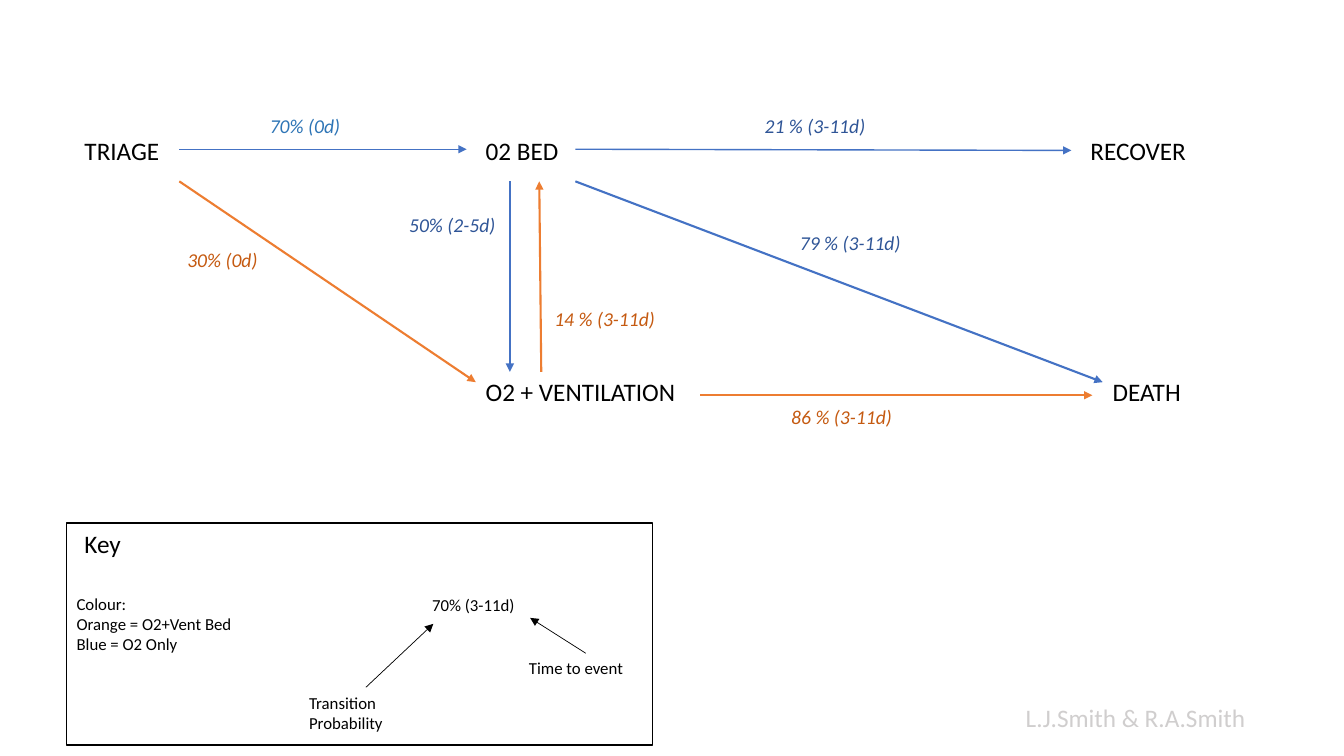
"""Build a patient flow diagram with transition probabilities and a key."""
from pptx import Presentation, util as u
from pptx.dml.color import RGBColor
from pptx.enum import shapes, text
from pptx.oxml.ns import qn
from lxml import etree

BLACK, GREY = "000000", "D0CECE"
BLUE, LIGHT_BLUE, DARK_BLUE = "4472C4", "2E75B6", "2F5597"
ORANGE, DARK_ORANGE = "ED7D31", "C55A11"
TOP_ROW, BOTTOM_ROW = 3.28, 9.37
TOP_ARROW, TOP_EXIT, BOTTOM_ENTRY, BOTTOM_ARROW = 3.76, 4.57, 9.63, 9.96
TRIAGE_EXIT, BED_LEFT, BED_EXIT = 4.52, 11.99, 14.5

states = [
    ("TRIAGE", 1.88, TOP_ROW, 3.48),
    ("02 BED", BED_LEFT, TOP_ROW, 3.3),
    ("O2 + VENTILATION", BED_LEFT, BOTTOM_ROW, 6.81),
    ("DEATH", 27.79, BOTTOM_ROW, 3.02),
    ("RECOVER", 27.23, TOP_ROW, 5.0),
]
transitions = [
    ((TRIAGE_EXIT, TOP_ARROW), (11.76, TOP_ARROW), BLUE, 1),
    ((TRIAGE_EXIT, TOP_EXIT), (BED_LEFT, BOTTOM_ENTRY), ORANGE, 1.5),
    ((13.64, BOTTOM_ROW), (13.59, TOP_EXIT), ORANGE, 1.5),
    ((12.85, TOP_EXIT), (12.85, BOTTOM_ROW), BLUE, 1),
    ((BED_EXIT, TOP_EXIT), (27.79, BOTTOM_ENTRY), BLUE, 1.5),
    ((17.65, BOTTOM_ARROW), (27.53, BOTTOM_ARROW), ORANGE, 1.5),
    ((BED_EXIT, TOP_ARROW), (27, 3.79), BLUE, 1),
]
probabilities = [
    ("70% (0d)", 6.55, 2.74, 2.84, LIGHT_BLUE),
    ("30% (0d)", 4.47, 6.12, 2.72, DARK_ORANGE),
    ("50% (2-5d)", 10.06, 5.23, 3.0, DARK_BLUE),
    ("86 % (3-11d)", 19.69, 10.08, 3.48, DARK_ORANGE),
    ("79 % (3-11d)", 19.91, 5.69, 3.48, DARK_BLUE),
    ("21 % (3-11d)", 19.02, 2.74, 3.48, DARK_BLUE),
    ("14 % (3-11d)", 13.72, 7.62, 3.48, DARK_ORANGE),
]
key_frame = (1.68, 13.18, 14.76, 5.59)
key_notes = [
    ("70% (3-11d)", 10.64, 14.86, 4.11),
    ("Transition Probability", 7.54, 17.32, 3.38),
    ("Time to event", 13.08, 16.46, 3.38),
    ("Colour:\nOrange = O2+Vent Bed\nBlue = O2 Only", 1.68, 14.83, 4.45),
]
key_pointers = [
    ((9.22, 17.32), (10.92, 15.72), BLACK, 0.5),
    ((14.76, 16.46), (13.36, 15.57), BLACK, 0.5),
]
headings = [
    ("Key", 1.88, 13.18, 3.48, BLACK),
    ("L.J.Smith & R.A.Smith", 25.6, 17.58, 7.06, GREY),
]


def rgb(hex_colour):
    """Turn a hex string into a colour."""
    return RGBColor.from_string(hex_colour)


def write(wording, left, top, width, colour=BLACK, size=18, italic=False):
    """Place a text box with one paragraph per line of wording."""
    lines = wording.split("\n")
    height = size * 0.043 * len(lines) + 0.25
    label = slide.shapes.add_textbox(*map(u.Cm, (left, top, width, height)))
    frame = label.text_frame
    frame.word_wrap = True
    frame.auto_size = text.MSO_AUTO_SIZE.NONE
    for index, line in enumerate(lines):
        paragraph = frame.add_paragraph() if index else frame.paragraphs[0]
        run = paragraph.add_run()
        run.text = line
        run.font.name = "Calibri"
        run.font.size = u.Pt(size)
        run.font.italic = italic
        run.font.color.rgb = rgb(colour)


def point(start, end, colour, weight):
    """Draw an arrow from start to end."""
    arrow = slide.shapes.add_connector(
        shapes.MSO_CONNECTOR.STRAIGHT, *map(u.Cm, start + end))
    arrow.line.color.rgb = rgb(colour)
    arrow.line.width = u.Pt(weight)
    outline = arrow.line._get_or_add_ln()
    etree.SubElement(outline, qn("a:tailEnd"), type="triangle")
    etree.SubElement(arrow._element.spPr, qn("a:effectLst"))


deck = Presentation()
deck.slide_width, deck.slide_height = u.Cm(33.87), u.Cm(19.05)
slide = deck.slides.add_slide(deck.slide_layouts[6])

for state in states:
    write(*state)
for arrow_ends in transitions + key_pointers:
    point(*arrow_ends)
for probability in probabilities:
    write(*probability, size=14, italic=True)
for note in key_notes:
    write(*note, size=12)
for heading in headings:
    write(*heading)

border = slide.shapes.add_shape(
    shapes.MSO_SHAPE.RECTANGLE, *map(u.Cm, key_frame))
border.shadow.inherit = False
border.fill.background()
border.line.color.rgb = rgb(BLACK)
border.line.width = u.Pt(1)

deck.save("out.pptx")
